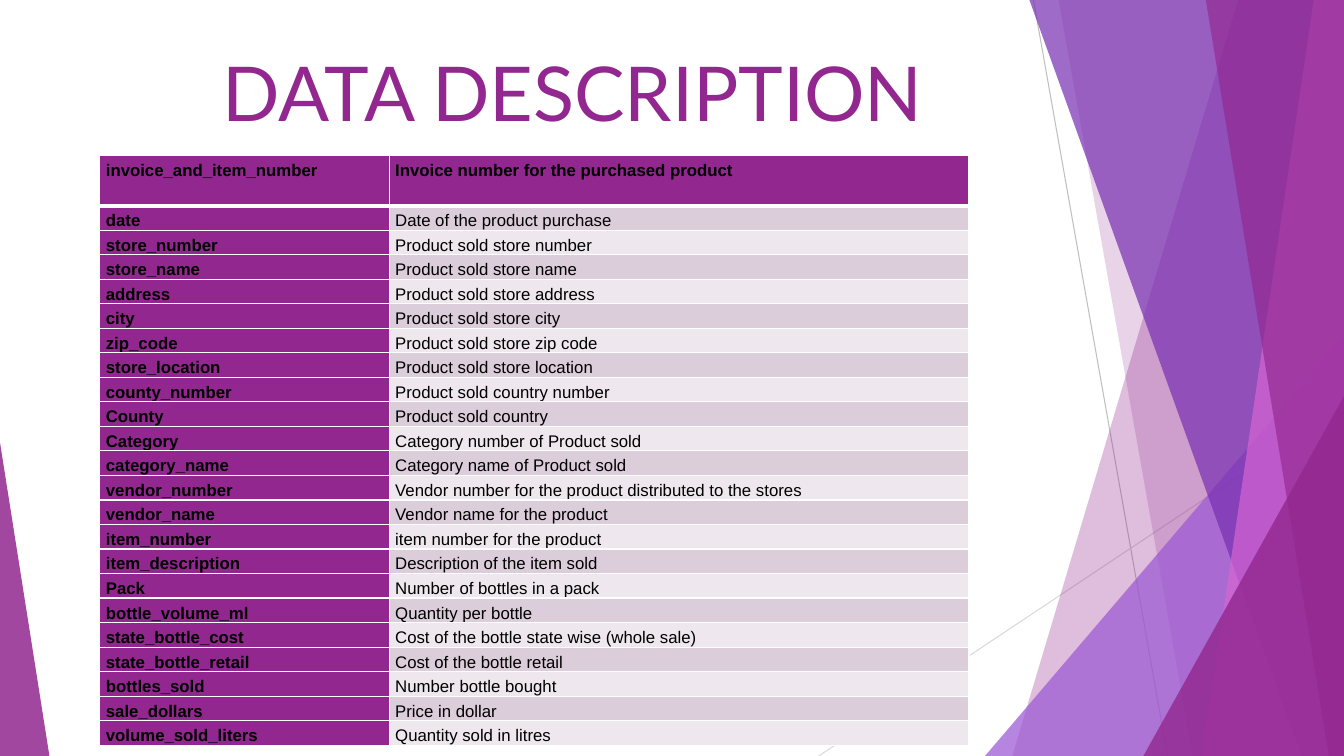
from dataclasses import dataclass
from lxml.etree import SubElement
from pptx import Presentation
from pptx.dml.color import RGBColor
from pptx.enum.shapes import MSO_CONNECTOR, MSO_SHAPE
from pptx.enum.text import MSO_ANCHOR
from pptx.oxml.ns import qn
from pptx.util import Inches, Pt


@dataclass(frozen=True)
class Theme:
    plum: str = "92278F"
    lilac: str = "9B57D3"
    violet: str = "762EB1"
    pink: str = "D665D3"
    ink: str = "000000"
    white: str = "FFFFFF"
    bands: tuple = ("EEE8EE", "DCCDDB")
    rules: tuple = ("BFBFBF", "D9D9D9")
    head: str = "Lato"
    body: str = "Arial"
    big: int = 54
    small: int = 12
    pitch: float = 17.5


THEME = Theme()
WIDE, HIGH = 13.33, 7.5
FIELDS = [
    ("invoice_and_item_number", "Invoice number for the purchased product"),
    ("date", "Date of the product purchase"),
    ("store_number", "Product sold store number"),
    ("store_name", "Product sold store name"),
    ("address", "Product sold store address"),
    ("city", "Product sold store city"),
    ("zip_code", "Product sold store zip code"),
    ("store_location", "Product sold store location"),
    ("county_number", "Product sold country number"),
    ("County", "Product sold country"),
    ("Category", "Category number of Product sold"),
    ("category_name", "Category name of Product sold"),
    ("vendor_number", "Vendor number for the product distributed to the stores"),
    ("vendor_name", "Vendor name for the product"),
    ("item_number", "item number for the product"),
    ("item_description", "Description of the item sold"),
    ("Pack", "Number of bottles in a pack"),
    ("bottle_volume_ml", "Quantity per bottle"),
    ("state_bottle_cost", "Cost of the bottle state wise (whole sale)"),
    ("state_bottle_retail", "Cost of the bottle retail"),
    ("bottles_sold", "Number bottle bought"),
    ("sale_dollars", "Price in dollar"),
    ("volume_sold_liters", "Quantity sold in litres"),
]


def apply(item, values):
    for name, value in values.items():
        setattr(item, name, value)


def tint(shape, color, alpha):
    shape.shadow.inherit = False
    shape.line.fill.background()
    shape.fill.solid()
    shape.fill.fore_color.rgb = RGBColor.from_string(color)
    tone = shape.fill._xPr.find(qn("a:solidFill"))[0]
    SubElement(tone, qn("a:alpha"), val=str(alpha * 1000))


def rule(slide, start, end, color):
    ends = [Inches(n) for n in start + end]
    line = slide.shapes.add_connector(MSO_CONNECTOR.STRAIGHT, *ends)
    line.line.width = Pt(0.75)
    line.line.color.rgb = RGBColor.from_string(color)
    SubElement(line._element.spPr, qn("a:effectLst"))


def shard(slide, top, base, color, alpha):
    spots = [(WIDE, 0), (WIDE, HIGH), (base, HIGH)]
    path = slide.shapes.build_freeform(Inches(top), 0)
    path.add_line_segments([(Inches(x), Inches(y)) for x, y in spots])
    tint(path.convert_to_shape(), color, alpha)


def wedge(slide, left, top, width, tip, color, alpha):
    box = [Inches(n) for n in (left, top, width, HIGH - top)]
    shape = slide.shapes.add_shape(MSO_SHAPE.ISOSCELES_TRIANGLE, *box)
    shape.adjustments[0] = tip
    tint(shape, color, alpha)


def write(para, text, font, size, color, bold=False):
    run = para.add_run()
    run.text = text
    apply(run.font, {"name": font, "size": Pt(size), "bold": bold})
    run.font.color.rgb = RGBColor.from_string(color)


def title(slide, text):
    box = slide.shapes.add_textbox(Inches(0.6), Inches(0.41), Inches(9.4), Inches(1))
    apply(box.text_frame, {"word_wrap": True, "margin_left": Inches(1.61),
                           "vertical_anchor": MSO_ANCHOR.TOP})
    write(box.text_frame.paragraphs[0], text, THEME.head, THEME.big, THEME.plum)


def edge(cell, widths):
    props = cell._tc.get_or_add_tcPr()
    for side, width in widths.items():
        line = SubElement(props, qn(f"a:ln{side}"), w=str(Pt(width)))
        fill = SubElement(line, qn("a:solidFill"))
        SubElement(fill, qn("a:srgbClr"), val=THEME.white)


def fill(cell, text, row, col):
    edge(cell, {"L": 1, "R": 1, "T": 3 if row == 1 else 1, "B": 3 if row == 0 else 1})
    strong = row == 0 or col == 0
    cell.fill.solid()
    cell.fill.fore_color.rgb = RGBColor.from_string(
        THEME.plum if strong else THEME.bands[row % 2])
    apply(cell, {"margin_left": Inches(0.06), "margin_right": Inches(0.06),
                 "margin_top": 0, "margin_bottom": 0})
    para = cell.text_frame.paragraphs[0]
    apply(para, {"line_spacing": Pt(THEME.pitch), "space_before": Pt(10)})
    write(para, text, THEME.body, THEME.small, THEME.ink, strong)


def grid(slide, rows):
    box = [Inches(n) for n in (0.99, 1.54, 8.62, 5.63)]
    table = slide.shapes.add_table(len(rows), 2, *box).table
    for col, width in zip(table.columns, (2.87, 5.75)):
        col.width = Inches(width)
    for i, texts in enumerate(rows):
        table.rows[i].height = Inches(0.23 if i else 0.5)
        for j, text in enumerate(texts):
            fill(table.cell(i, j), text, i, j)


def decor(slide):
    rule(slide, (10.25, 0), (11.58, HIGH), THEME.rules[0])
    rule(slide, (WIDE, 4.03), (8.12, HIGH), THEME.rules[1])
    shard(slide, 12.28, 10.04, THEME.plum, 30)
    shard(slide, 10.5, 11.83, THEME.plum, 20)
    wedge(slide, 9.77, 3.33, 3.56, 1, THEME.lilac, 72)
    shard(slide, 10.21, 12.91, THEME.violet, 70)
    shard(slide, 13.03, 11.92, THEME.pink, 70)
    shard(slide, 11.96, 13.18, THEME.plum, 65)
    wedge(slide, 11.34, 3.93, 1.99, 1, THEME.plum, 80)
    wedge(slide, 0, 4.39, 0.49, 0, THEME.plum, 85)


def main():
    deck = Presentation()
    apply(deck, {"slide_width": Inches(WIDE), "slide_height": Inches(HIGH)})
    slide = deck.slides.add_slide(deck.slide_layouts[6])
    decor(slide)
    title(slide, "DATA DESCRIPTION")
    grid(slide, FIELDS)
    deck.save("out.pptx")


main()
